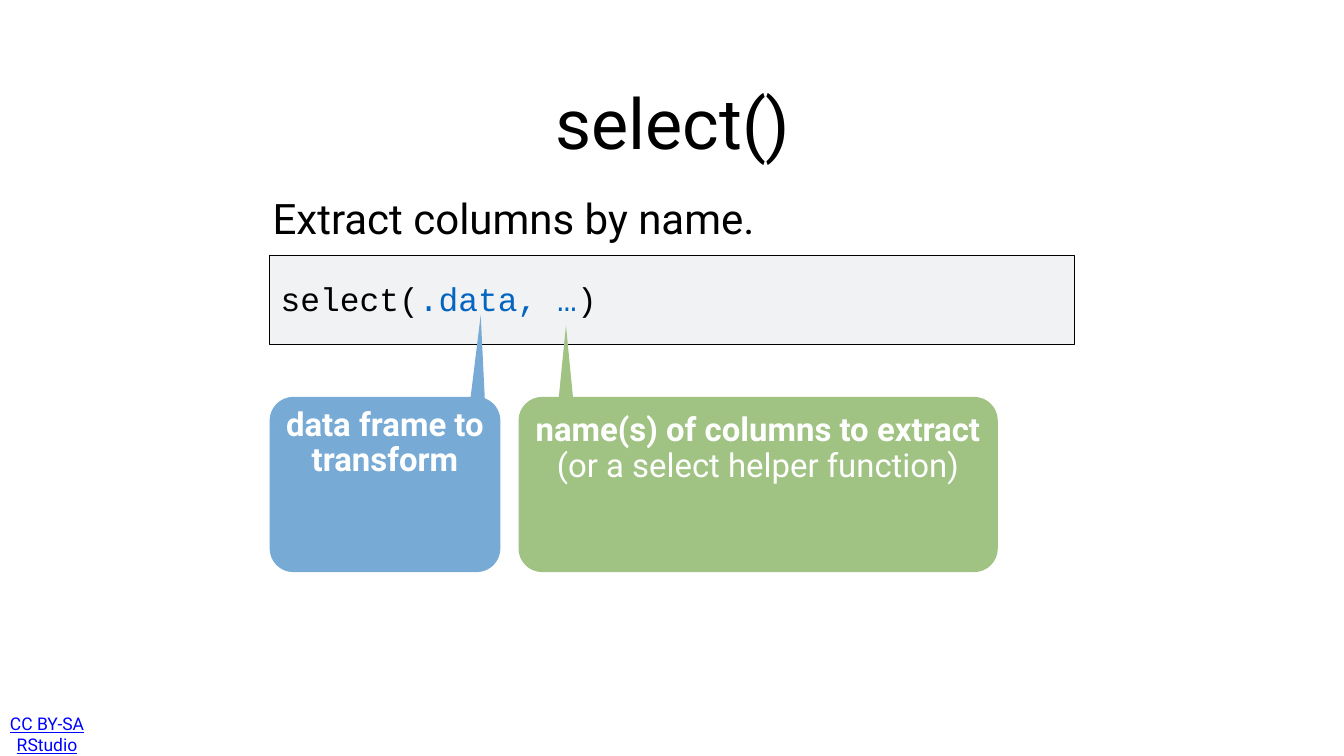
from dataclasses import dataclass
from math import asin, cos, degrees, radians, sin, tan

from lxml.etree import SubElement
from pptx import Presentation
from pptx.dml.color import RGBColor
from pptx.enum.shapes import MSO_SHAPE
from pptx.enum.text import MSO_ANCHOR, MSO_AUTO_SIZE, PP_ALIGN
from pptx.oxml.ns import qn
from pptx.util import Inches, Pt

WIDTH, HEIGHT = Inches(26.67), Inches(15)
GRID = 100  # columns across and rows down the slide
COLORS = {
    "text": "000000",
    "argument": "0365C0",
    "link": "0000FF",
    "panel": "F0F2F4",
    "blue": "78AAD6",
    "green": "A0C283",
    "white": "FFFFFF",
}
BODY_FONT, CODE_FONT = "Roboto", "Courier New"
LEFT_EDGE = 20.06
CALLOUT_TOP, CALLOUT_ROWS = 52.5, 23.18
CORNER_ROWS = 3.13
TAIL_COLUMNS = 1.05

Point = tuple[int, int]


@dataclass(frozen=True)
class Area:
    column: float
    row: float
    columns: float
    rows: float


@dataclass(frozen=True)
class Callout:
    column: float
    columns: float
    tail_column: float
    tip_column: float
    tip_row: float
    color: str
    lines: tuple[str, ...]


CALLOUTS = (
    Callout(38.58, 35.66, 41.58, 42.11, 43.07, "green",
            ("name(s) of columns to extract", "(or a select helper function)")),
    Callout(LEFT_EDGE, 17.17, 35.02, 35.77, 41.67, "blue",
            ("data frame to transform",)),
)


def across(columns: float) -> int:
    return round(WIDTH * columns / GRID)


def down(rows: float) -> int:
    return round(HEIGHT * rows / GRID)


def bounds(area: Area) -> tuple[int, int, int, int]:
    return across(area.column), down(area.row), across(area.columns), down(area.rows)


def rgb(name: str) -> RGBColor:
    return RGBColor.from_string(COLORS[name])


def set_frame(text_frame, inset: float, anchor=MSO_ANCHOR.MIDDLE) -> None:
    text_frame.word_wrap = True
    text_frame.auto_size = MSO_AUTO_SIZE.NONE
    text_frame.vertical_anchor = anchor
    text_frame.margin_left = text_frame.margin_right = Inches(inset)
    text_frame.margin_top = text_frame.margin_bottom = Inches(inset)


def set_font(font, size: float, color: str, name: str = BODY_FONT, bold: bool = False) -> None:
    font.name, font.size, font.bold = name, Pt(size), bold
    font.color.rgb = rgb(color)


def add_text(slide, area: Area, text: str, size: float, color: str = "text",
             inset: float = 0.06, alignment=PP_ALIGN.LEFT):
    text_frame = slide.shapes.add_textbox(*bounds(area)).text_frame
    set_frame(text_frame, inset)
    text_frame.text = text
    paragraph = text_frame.paragraphs[0]
    paragraph.alignment = alignment
    set_font(paragraph.runs[0].font, size, color)
    return paragraph


def add_title(slide, text: str) -> None:
    title = slide.shapes.title
    title.left, title.top, title.width, title.height = bounds(Area(16.5, 7.33, 67.12, 17.47))
    title.text_frame.text = text
    set_frame(title.text_frame, 0.06)
    paragraph = title.text_frame.paragraphs[0]
    paragraph.alignment = PP_ALIGN.CENTER
    set_font(paragraph.runs[0].font, 100, "text")


def add_code(slide) -> None:
    panel = slide.shapes.add_shape(MSO_SHAPE.RECTANGLE, *bounds(Area(LEFT_EDGE, 33.73, 59.86, 11.8)))
    panel.shadow.inherit = False
    panel.fill.solid()
    panel.fill.fore_color.rgb = rgb("panel")
    panel.line.color.rgb = rgb("text")
    panel.line.width = Pt(1)

    text_box = slide.shapes.add_textbox(*bounds(Area(20.66, 36.4, 56.54, 10.4)))
    set_frame(text_box.text_frame, 0.06, MSO_ANCHOR.TOP)
    paragraph = text_box.text_frame.paragraphs[0]
    for text, color in (("select(", "text"), (".data, …", "argument"), (")", "text")):
        run = paragraph.add_run()
        run.text = text
        set_font(run.font, 47, color, CODE_FONT)


def corner_curve(x: int, y: int, radius: int, start: float, sweep: float) -> list[Point]:
    """Start, two control points and end of an anticlockwise arc around x, y."""
    handle = 4 / 3 * tan(radians(sweep) / 4)

    def at(angle: float, pull: float) -> Point:
        turn = radians(angle)
        return (round(x + radius * (cos(turn) + pull * sin(turn))),
                round(y + radius * (sin(turn) - pull * cos(turn))))

    end = start - sweep
    return [at(start, 0), at(start, handle), at(end, -handle), at(end, 0)]


def callout_outline(callout: Callout) -> tuple[Point, list[Point]]:
    """The tail's tip, and the points after it: tail, then four per corner."""
    left, top = across(callout.column), down(CALLOUT_TOP)
    right, bottom = left + across(callout.columns), top + down(CALLOUT_ROWS)
    radius = down(CORNER_ROWS)
    inner_left, inner_right = left + radius, right - radius
    inner_top, inner_bottom = top + radius, bottom - radius
    tail_left = across(callout.tail_column)
    tail_right = tail_left + across(TAIL_COLUMNS)
    overlap = max(0, tail_right - inner_right)
    tip = (across(callout.tip_column), down(callout.tip_row))

    points = [
        (tail_left, top),
        *corner_curve(inner_left, inner_top, radius, 270, 90),
        *corner_curve(inner_left, inner_bottom, radius, 180, 90),
        *corner_curve(inner_right, inner_bottom, radius, 90, 90),
        *corner_curve(inner_right, inner_top, radius, 0, 90 - degrees(asin(overlap / radius))),
    ]
    if not overlap:
        points.append((tail_right, top))
    return tip, [*points, tip]


def round_corners(shape) -> None:
    """Turn the last three points of each corner into one Bézier curve."""
    lines = list(shape.element.iter(qn("a:lnTo")))
    for first in range(2, 17, 4):
        curve = SubElement(lines[first].getparent(), qn("a:cubicBezTo"))
        lines[first].addprevious(curve)
        for line in lines[first:first + 3]:
            curve.append(line[0])
            line.getparent().remove(line)


def add_callout(slide, callout: Callout) -> None:
    tip, points = callout_outline(callout)
    builder = slide.shapes.build_freeform(*tip)
    builder.add_line_segments(points, close=True)
    shape = builder.convert_to_shape()
    round_corners(shape)
    shape.shadow.inherit = False
    shape.fill.solid()
    shape.fill.fore_color.rgb = rgb(callout.color)
    shape.line.fill.background()
    set_frame(shape.text_frame, 0.08)
    shape.text_frame.text = "\n".join(callout.lines)
    for index, paragraph in enumerate(shape.text_frame.paragraphs):
        paragraph.alignment = PP_ALIGN.CENTER
        paragraph.line_spacing = 0.9
        set_font(paragraph.runs[0].font, 47, "white", bold=index == 0)


def main() -> None:
    presentation = Presentation()
    presentation.slide_width, presentation.slide_height = WIDTH, HEIGHT
    slide = presentation.slides.add_slide(presentation.slide_layouts[5])

    license_line = add_text(slide, Area(0.1, 93.87, 6.8, 6.4), "CC BY-SA RStudio", 25,
                            "link", 0.08, PP_ALIGN.CENTER)
    license_line.runs[0].font.underline = True
    add_title(slide, "select()")
    add_text(slide, Area(LEFT_EDGE, 23.6, 59.36, 10.4), "Extract columns by name.", 60)
    add_code(slide)
    for callout in CALLOUTS:
        add_callout(slide, callout)

    presentation.save("out.pptx")


if __name__ == "__main__":
    main()
